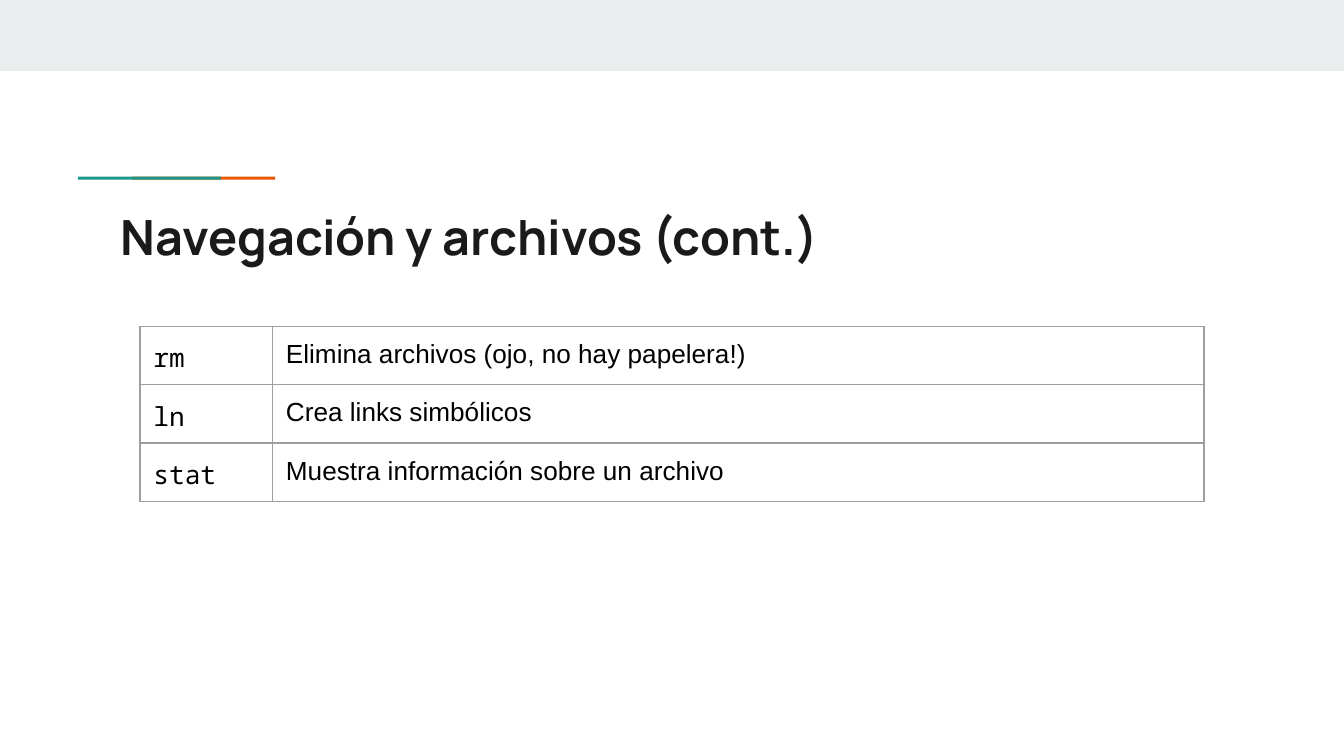
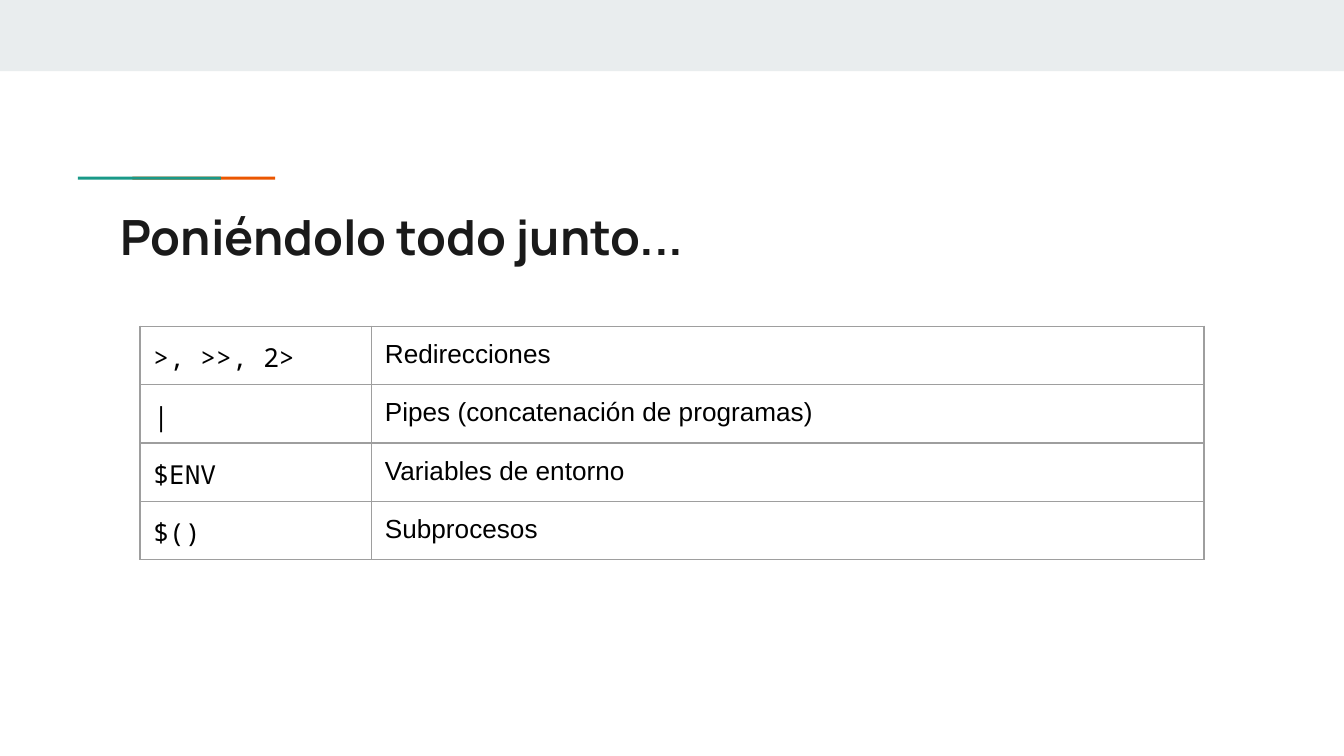
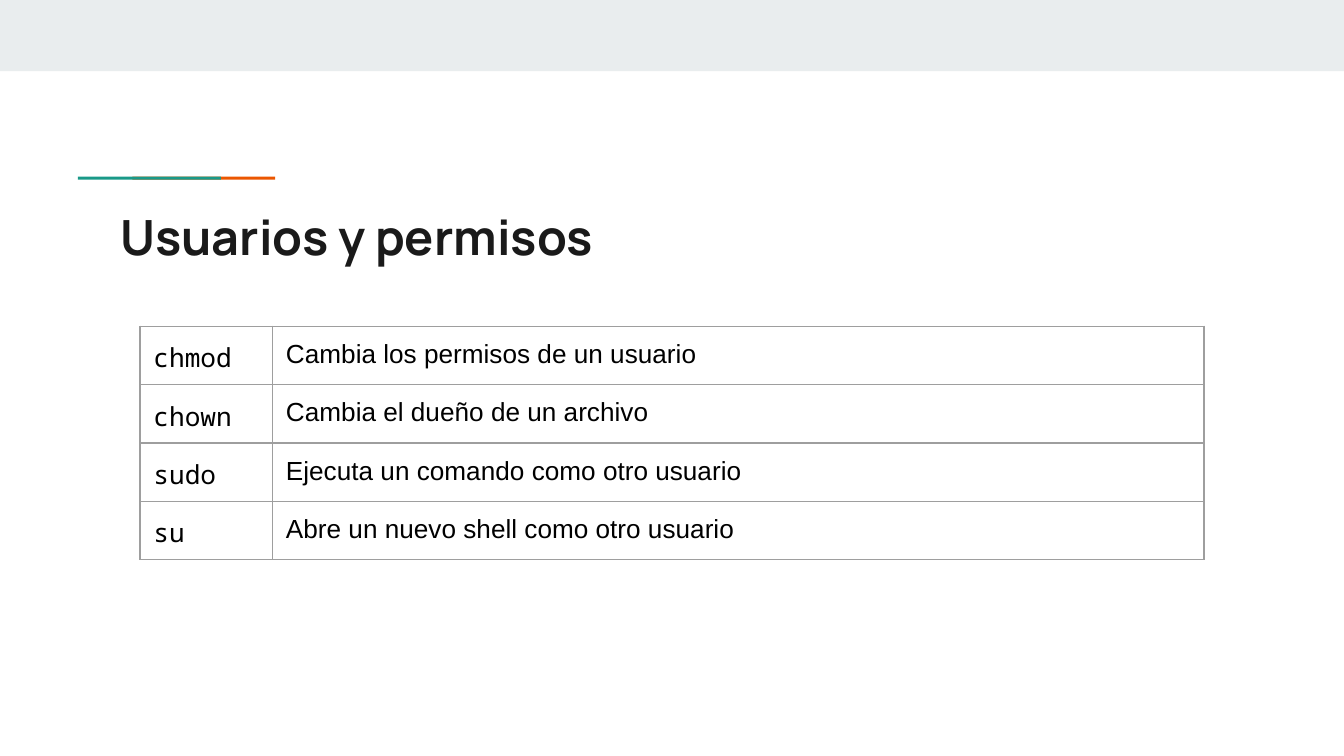
from lxml.etree import SubElement
from pptx import Presentation
from pptx.dml.color import RGBColor
from pptx.enum.shapes import MSO_SHAPE
from pptx.enum.text import MSO_ANCHOR
from pptx.oxml.ns import qn
from pptx.util import Pt

COLORS = {
    "band": "E9EDEE",
    "teal": "1A9988",
    "orange": "EB5600",
    "title": "1A1A1A",
    "text": "000000",
    "border": "9E9E9E",
}

TITLE_FONT = {"name": "Manrope", "size": Pt(26), "bold": True}
COMMAND_FONT = {"name": "Noto Sans Mono", "size": Pt(14), "bold": False}
DESCRIPTION_FONT = {"name": "Arial", "size": Pt(14), "bold": False}
FRAME = {"word_wrap": True, "vertical_anchor": MSO_ANCHOR.TOP}
MARGINS = {f"margin_{side}": Pt(7.2) for side in ("left", "top", "right", "bottom")}
PLAIN_TABLE = {"first_row": False, "horz_banding": False}

SLIDE_W, SLIDE_H = 720, 405
BAND_BOX = (0, 0, SLIDE_W, 38.2)
ACCENT_BOX = (41.8, 94.6, 105.7, 1.7)
TITLE_BOX = (57.4, 103.8, 605.4, 42.4)
TABLE_BOX = (75, 174.8, 570, 30)
ACCENT_BAR_W = 76.6
BORDER_W = 0.75

SLIDES = [
    ("Navegación y archivos (cont.)", 71, [
        ("rm", "Elimina archivos (ojo, no hay papelera!)"),
        ("ln", "Crea links simbólicos"),
        ("stat", "Muestra información sobre un archivo"),
    ]),
    ("Poniéndolo todo junto...", 124, [
        (">, >>, 2>", "Redirecciones"),
        ("|", "Pipes (concatenación de programas)"),
        ("$ENV", "Variables de entorno"),
        ("$()", "Subprocesos"),
    ]),
    ("Usuarios y permisos", 71, [
        ("chmod", "Cambia los permisos de un usuario"),
        ("chown", "Cambia el dueño de un archivo"),
        ("sudo", "Ejecuta un comando como otro usuario"),
        ("su", "Abre un nuevo shell como otro usuario"),
    ]),
]


def set_attrs(obj, values):
    for name, value in values.items():
        setattr(obj, name, value)


def write(tf, text, font, color):
    r = tf.paragraphs[0].add_run()
    r.text = text
    set_attrs(r.font, font)
    r.font.color.rgb = RGBColor.from_string(COLORS[color])


def add_bar(slide, box, color):
    sp = slide.shapes.add_shape(MSO_SHAPE.RECTANGLE, *map(Pt, box))
    sp.shadow.inherit = False
    sp.fill.solid()
    sp.fill.fore_color.rgb = RGBColor.from_string(COLORS[color])
    sp.line.fill.background()


def add_accent(slide, box):
    x, y, w, h = box
    add_bar(slide, (x + w - ACCENT_BAR_W, y, ACCENT_BAR_W, h), "orange")
    add_bar(slide, (x, y, ACCENT_BAR_W, h), "teal")


def add_title(slide, box, text):
    tf = slide.shapes.add_textbox(*map(Pt, box)).text_frame
    set_attrs(tf, FRAME | MARGINS)
    write(tf, text, TITLE_FONT, "title")


def add_borders(cell):
    tc_pr = cell._tc.get_or_add_tcPr()
    for side in ("lnL", "lnR", "lnT", "lnB"):
        ln = SubElement(tc_pr, qn(f"a:{side}"), w=str(Pt(BORDER_W)))
        fill = SubElement(ln, qn("a:solidFill"))
        SubElement(fill, qn("a:srgbClr"), val=COLORS["border"])


def add_command_table(slide, box, command_w, rows):
    x, y, w, row_h = box
    frame = slide.shapes.add_table(
        len(rows), 2, Pt(x), Pt(y), Pt(w), Pt(row_h * len(rows)))
    table = frame.table
    set_attrs(table, PLAIN_TABLE)
    for column, width in zip(table.columns, (command_w, w - command_w)):
        column.width = Pt(width)
    for row, texts in zip(table.rows, rows):
        row.height = Pt(row_h)
        for cell, text, font in zip(row.cells, texts, (COMMAND_FONT, DESCRIPTION_FONT)):
            set_attrs(cell, MARGINS)
            add_borders(cell)
            cell.fill.background()
            write(cell.text_frame, text, font, "text")


def add_command_slide(prs, title, command_w, rows):
    slide = prs.slides.add_slide(prs.slide_layouts[6])
    add_bar(slide, BAND_BOX, "band")
    add_accent(slide, ACCENT_BOX)
    add_title(slide, TITLE_BOX, title)
    add_command_table(slide, TABLE_BOX, command_w, rows)


def main():
    prs = Presentation()
    set_attrs(prs, {"slide_width": Pt(SLIDE_W), "slide_height": Pt(SLIDE_H)})
    for title, command_w, rows in SLIDES:
        add_command_slide(prs, title, command_w, rows)
    prs.save("out.pptx")


if __name__ == "__main__":
    main()
